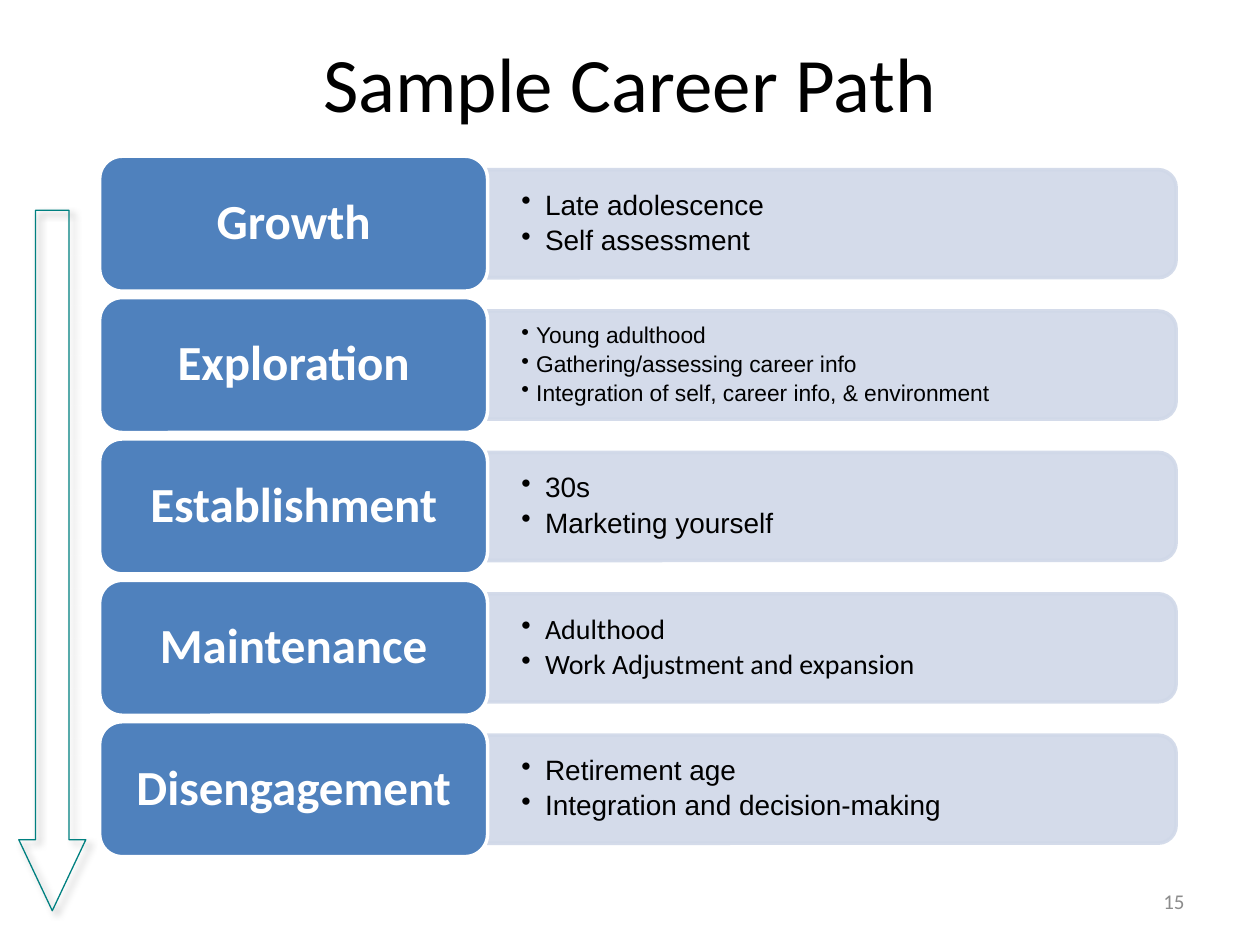
from dataclasses import dataclass

from lxml.etree import SubElement
from pptx import Presentation
from pptx.dml.color import RGBColor
from pptx.enum.shapes import MSO_SHAPE as Preset
from pptx.enum.text import MSO_ANCHOR as Anchor, PP_ALIGN as Align
from pptx.oxml.ns import qn
from pptx.shapes.autoshape import Shape
from pptx.slide import Slide
from pptx.util import Cm, Pt

BLUE, PALE, WHITE, BLACK = "4F81BD", "D0D8E8", "FFFFFF", "000000"
GREY, TEAL = "8C8C8C", "008080"

LABEL_LEFT, LABEL_TOP, LABEL_WIDTH, LABEL_HEIGHT = 2.01, 3.15, 7.82, 2.72
ROW_PITCH = 2.85
PANEL_LEFT, PANEL_WIDTH, PANEL_HEIGHT = 9.82, 13.89, 2.18
LIST_WIDTH, LIST_HEIGHT = 13.79, 1.96


@dataclass
class Stage:
    name: str
    details: list[str]
    font: str = "Arial"
    size: int = 16
    indent: float = 0.48


STAGES = [
    Stage("Growth", ["Late adolescence", "Self assessment"]),
    Stage("Exploration",
          ["Young adulthood", "Gathering/assessing career info",
           "Integration of self, career info, & environment"],
          size=13, indent=0.3),
    Stage("Establishment", ["30s", "Marketing yourself"]),
    Stage("Maintenance", ["Adulthood", "Work Adjustment and expansion"],
          font="Calibri"),
    Stage("Disengagement",
          ["Retirement age", "Integration and decision-making"]),
]


def color(value: str) -> RGBColor:
    return RGBColor.from_string(value)


def write(shape: Shape, text: str, *, size: float, font: str = "Calibri",
          fill: str = BLACK, bold: bool = False, align: Align = Align.LEFT,
          margins: tuple[float, float] = (0.25, 0.13), spacing: float = 1,
          after: float = 0, bullet_indent: float = 0) -> None:
    """Fill a shape with one paragraph per line of text."""
    frame = shape.text_frame
    frame.word_wrap = True
    frame.vertical_anchor = Anchor.MIDDLE
    frame.margin_left = frame.margin_right = Cm(margins[0])
    frame.margin_top = frame.margin_bottom = Cm(margins[1])
    frame.text = text
    for paragraph in frame.paragraphs:
        paragraph.alignment = align
        paragraph.line_spacing = spacing
        paragraph.space_after = Pt(after)
        paragraph.font.size = Pt(size)
        paragraph.font.name = font
        paragraph.font.bold = bold
        paragraph.font.color.rgb = color(fill)
        if bullet_indent:
            add_bullet(paragraph, bullet_indent)


def add_bullet(paragraph, indent: float) -> None:
    properties = paragraph._p.get_or_add_pPr()
    properties.set("marL", str(Cm(indent)))
    properties.set("indent", str(-Cm(indent)))
    bullet = properties.makeelement(qn("a:buChar"), {"char": "•"})
    properties.insert_element_before(bullet, "a:tabLst", "a:defRPr", "a:extLst")


def add_box(slide: Slide, preset: Preset, left: float, top: float,
            width: float, height: float, *, fill: str | None, line: str,
            line_width: float = 2) -> Shape:
    shape = slide.shapes.add_shape(preset, Cm(left), Cm(top), Cm(width), Cm(height))
    shape.shadow.inherit = False
    if fill:
        shape.fill.solid()
        shape.fill.fore_color.rgb = color(fill)
    else:
        shape.fill.background()
    shape.line.color.rgb = color(line)
    shape.line.width = Pt(line_width)
    return shape


def add_panel(slide: Slide, center_y: float) -> None:
    """Draw the pale bar, turned so that its round corners face right."""
    center_x = PANEL_LEFT + PANEL_WIDTH / 2
    panel = add_box(slide, Preset.ROUND_2_SAME_RECTANGLE,
                    center_x - PANEL_HEIGHT / 2, center_y - PANEL_WIDTH / 2,
                    PANEL_HEIGHT, PANEL_WIDTH, fill=PALE, line=PALE)
    panel.rotation = 90
    for tint in panel._element.spPr.iter(qn("a:srgbClr")):
        SubElement(tint, qn("a:alpha"), val="90000")


def add_stage(slide: Slide, stage: Stage, top: float) -> None:
    center_y = top + LABEL_HEIGHT / 2
    add_panel(slide, center_y)
    details = slide.shapes.add_textbox(
        Cm(PANEL_LEFT), Cm(center_y - LIST_HEIGHT / 2),
        Cm(LIST_WIDTH), Cm(LIST_HEIGHT))
    write(details, "\n".join(stage.details), size=stage.size, font=stage.font,
          margins=(0.69, 0.36), spacing=0.9, after=stage.size * 0.18,
          bullet_indent=stage.indent)
    label = add_box(slide, Preset.ROUNDED_RECTANGLE, LABEL_LEFT, top,
                    LABEL_WIDTH, LABEL_HEIGHT, fill=BLUE, line=WHITE)
    write(label, stage.name, size=28, fill=WHITE, bold=True,
          align=Align.CENTER, spacing=0.9)


def add_time_arrow(slide: Slide) -> None:
    arrow = add_box(slide, Preset.DOWN_ARROW, 0.38, 4.24, 1.35, 14.12,
                    fill=None, line=TEAL, line_width=0.75)
    arrow.adjustments[0], arrow.adjustments[1] = 0.5, 1.06
    effects = arrow._element.spPr.find(qn("a:effectLst"))
    shadow = SubElement(effects, qn("a:outerShdw"), blurRad=str(Pt(4)),
                        dist=str(Pt(3)), dir=str(45 * 60000), algn="tl",
                        rotWithShape="0")
    tint = SubElement(shadow, qn("a:srgbClr"), val=BLACK)
    SubElement(tint, qn("a:alpha"), val="40000")


def main() -> None:
    presentation = Presentation()
    presentation.slide_width, presentation.slide_height = Cm(25.4), Cm(19.05)
    slide = presentation.slides.add_slide(presentation.slide_layouts[5])

    title = slide.shapes.title
    title.left, title.top, title.width, title.height = (
        Cm(1.27), Cm(0.05), Cm(22.86), Cm(3.18))
    write(title, "Sample Career Path", size=44, align=Align.CENTER)

    page_number = slide.shapes.add_textbox(Cm(18.2), Cm(17.66), Cm(5.93), Cm(1.01))
    write(page_number, "15", size=12, fill=GREY, align=Align.RIGHT)

    for row, stage in enumerate(STAGES):
        add_stage(slide, stage, LABEL_TOP + row * ROW_PITCH)
    add_time_arrow(slide)
    presentation.save("out.pptx")


if __name__ == "__main__":
    main()
